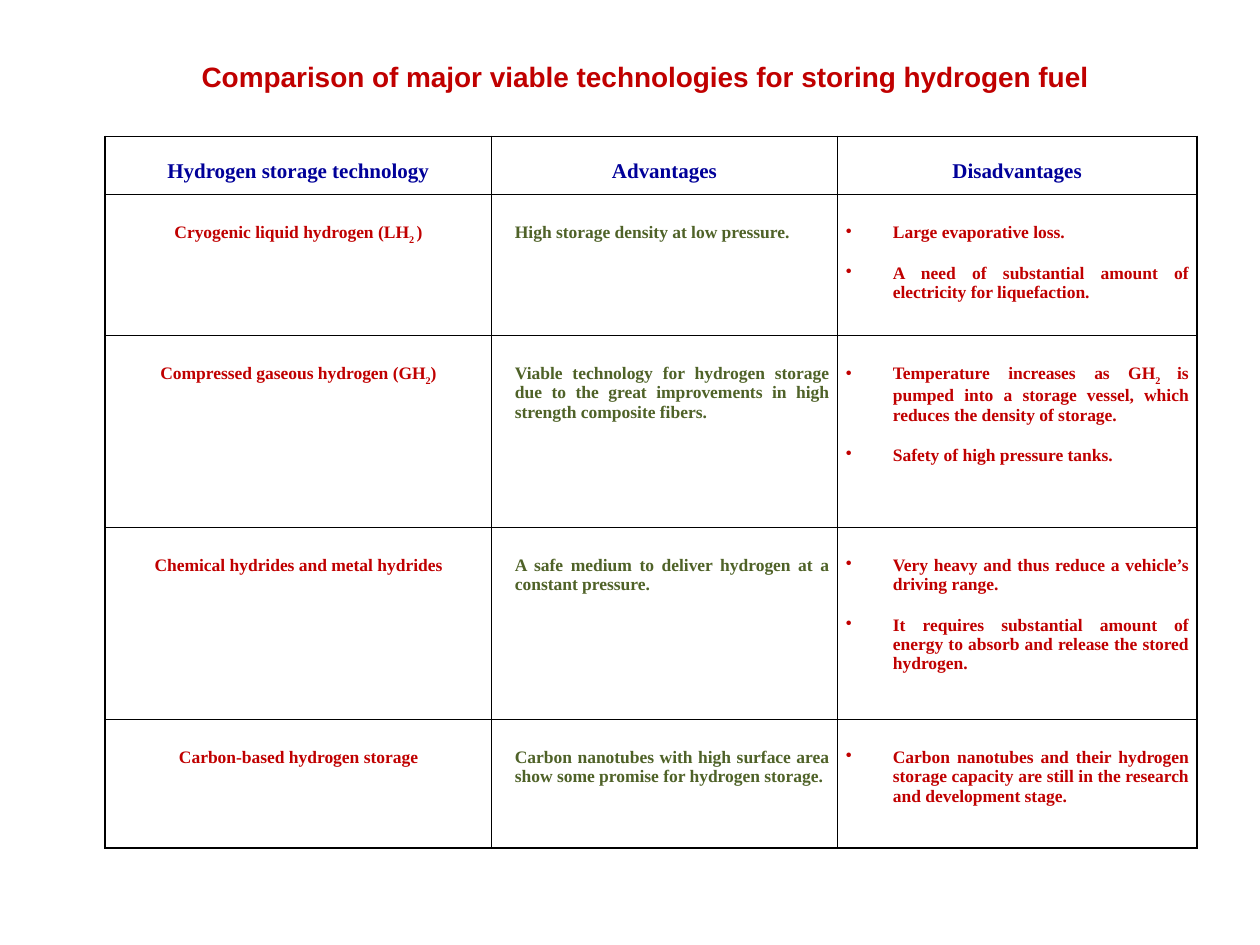
import pptx
import pptx.dml.color
import pptx.enum.text
import pptx.oxml.ns
import pptx.util
from lxml import etree

Cm = pptx.util.Cm
Pt = pptx.util.Pt
ALIGN = pptx.enum.text.PP_ALIGN

RED = pptx.dml.color.RGBColor(0xC0, 0x00, 0x00)
NAVY = pptx.dml.color.RGBColor(0x00, 0x00, 0x99)
GREEN = pptx.dml.color.RGBColor(0x4F, 0x62, 0x28)
BLACK = pptx.dml.color.RGBColor(0x00, 0x00, 0x00)

COLUMN_WIDTHS = (7.79, 6.97, 7.25)
ROW_HEIGHTS = (1.17, 2.84, 3.87, 3.87, 2.59)
HEADERS = ("Hydrogen storage technology", "Advantages", "Disadvantages")
# Text between bars is subscript.
TECHNOLOGIES = (
    ("Cryogenic liquid hydrogen (LH|2 |)",
     "High storage density at low pressure.",
     ("Large evaporative loss.",
      "A need of substantial amount of electricity for liquefaction.")),
    ("Compressed gaseous hydrogen (GH|2|)",
     "Viable technology for hydrogen storage due to the great improvements "
     "in high strength composite fibers.",
     ("Temperature increases as GH|2 |is pumped into a storage vessel, "
      "which reduces the density of storage.",
      "Safety of high pressure tanks.")),
    ("Chemical hydrides and metal hydrides",
     "A safe medium to deliver hydrogen at a constant pressure.",
     ("Very heavy and thus reduce a vehicle’s driving range.",
      "It requires substantial amount of energy to absorb and release "
      "the stored hydrogen.")),
    ("Carbon-based hydrogen storage",
     "Carbon nanotubes with high surface area show some promise for "
     "hydrogen storage.",
     ("Carbon nanotubes and their hydrogen storage capacity are still in "
      "the research and development stage.",)),
)


def add_child(parent, tag, **attributes):
    return etree.SubElement(parent, pptx.oxml.ns.qn(tag), attributes)


def write_text(frame, *paragraphs, size=10, color=RED, font="Times New Roman",
               align=ALIGN.CENTER, indent=0, bullet=None, gap=0):
    """Fill a frame; gap is the space before and after each paragraph."""
    for index, text in enumerate(paragraphs):
        paragraph = frame.add_paragraph() if index else frame.paragraphs[0]
        properties = paragraph._p.get_or_add_pPr()
        properties.set("marL", str(Cm(indent)))
        properties.set("indent", str(Cm(-indent if bullet else 0)))
        paragraph.alignment = align
        paragraph.space_before = Pt(gap if index else 0)
        paragraph.space_after = Pt(gap)
        if bullet:
            add_child(properties, "a:buChar", char=bullet)
        for part, piece in enumerate(text.split("|")):
            run = paragraph.add_run()
            run.text = piece
            run.font.size = Pt(size)
            run.font.name = font
            run.font.bold = True
            run.font.color.rgb = color
            if part % 2:
                run._r.get_or_add_rPr().set("baseline", "-25000")


def format_cell(cell, top_margin):
    cell.margin_left = cell.margin_right = Cm(0.17)
    cell.margin_top, cell.margin_bottom = Cm(top_margin), 0
    properties = cell._tc.get_or_add_tcPr()
    for side in ("a:lnL", "a:lnR", "a:lnT", "a:lnB"):
        line = add_child(properties, side, w=str(Pt(1)))
        add_child(add_child(line, "a:solidFill"), "a:srgbClr", val=str(BLACK))
    cell.fill.background()


def place_title(slide, left, top, width, height):
    title = slide.shapes.title
    title.left, title.top = Cm(left), Cm(top)
    title.width, title.height = Cm(width), Cm(height)
    frame = title.text_frame
    frame.word_wrap = True
    frame.auto_size = pptx.enum.text.MSO_AUTO_SIZE.NONE
    frame.vertical_anchor = pptx.enum.text.MSO_ANCHOR.MIDDLE
    write_text(frame,
               "Comparison of major viable technologies for storing hydrogen fuel",
               size=16, font="Arial", align=ALIGN.LEFT)


def place_comparison(slide, left, top):
    table = slide.shapes.add_table(
        len(ROW_HEIGHTS), len(COLUMN_WIDTHS), Cm(left), Cm(top),
        Cm(sum(COLUMN_WIDTHS)), Cm(sum(ROW_HEIGHTS))).table
    table.first_row = table.horz_banding = False
    for column, width in zip(table.columns, COLUMN_WIDTHS):
        column.width = Cm(width)
    for index, (row, height) in enumerate(zip(table.rows, ROW_HEIGHTS)):
        row.height = Cm(height)
        for cell in row.cells:
            format_cell(cell, 0.58 if index else 0.48)

    for column, header in enumerate(HEADERS):
        write_text(table.cell(0, column).text_frame, header, size=12, color=NAVY)
    for row, (technology, advantage, drawbacks) in enumerate(TECHNOLOGIES, 1):
        write_text(table.cell(row, 0).text_frame, technology)
        write_text(table.cell(row, 1).text_frame, advantage, color=GREEN,
                   align=ALIGN.JUSTIFY, indent=0.3)
        write_text(table.cell(row, 2).text_frame, *drawbacks,
                   align=ALIGN.JUSTIFY, indent=0.95, bullet="•", gap=6)


def main():
    presentation = pptx.Presentation()
    presentation.slide_width, presentation.slide_height = Cm(25.4), Cm(19.05)
    slide = presentation.slides.add_slide(presentation.slide_layouts[5])
    place_title(slide, left=3.81, top=1.07, width=18.8, height=0.94)
    place_comparison(slide, left=2.12, top=2.75)
    presentation.save("out.pptx")


if __name__ == "__main__":
    main()
